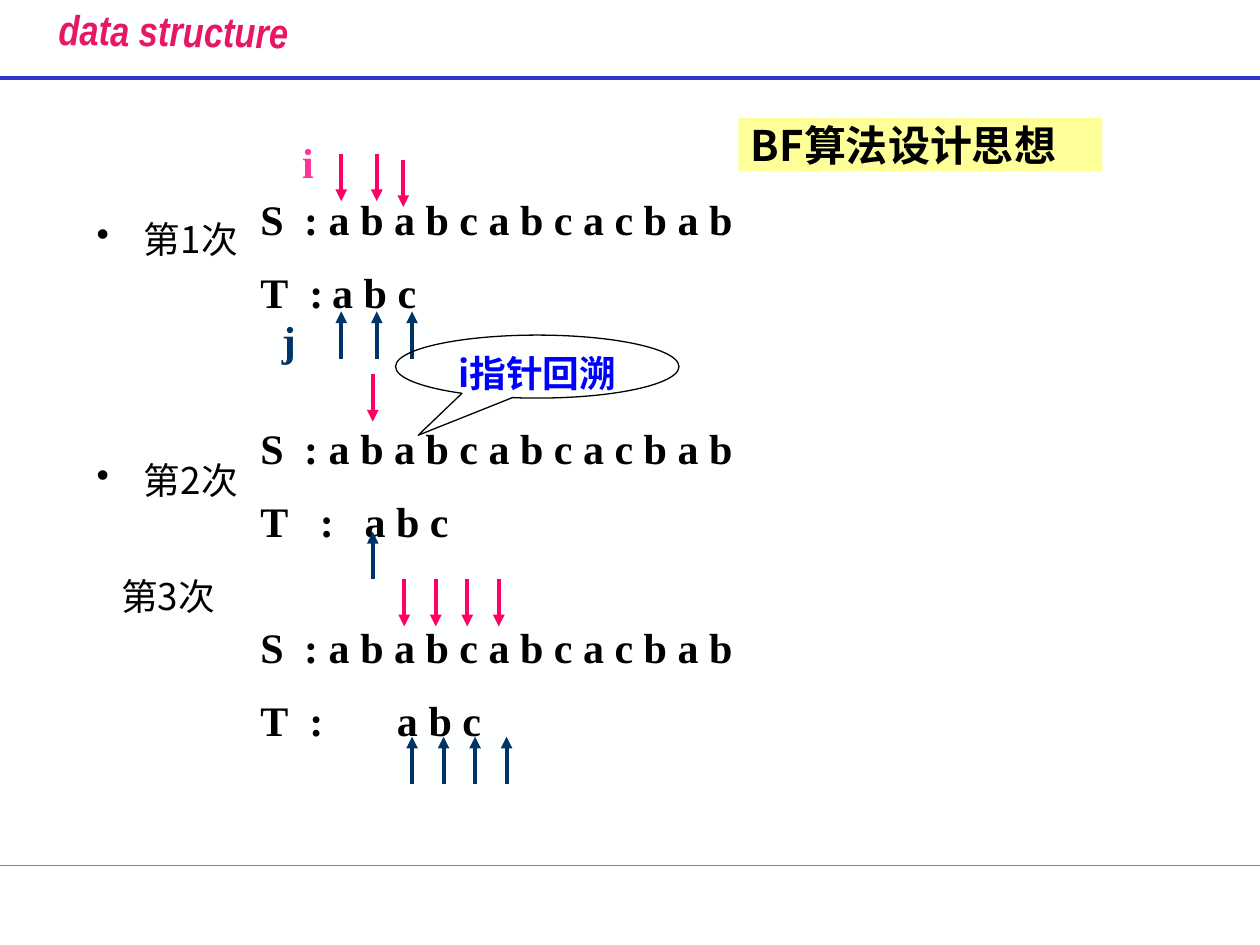
from lxml import etree
from pptx import Presentation
from pptx.dml.color import RGBColor
from pptx.enum import shapes, text
from pptx.oxml.ns import qn
from pptx.util import Pt

HUES = {
    "back": "FEFFFF", "rule": "3333CC", "foot": "00CC99", "title": "E81766",
    "ink": "000000", "down": "FF0066", "up": "003366", "i": "FF3399",
    "note": "0000FF", "head": "FFFF99",
}
SANS = "Noto Sans CJK SC"
SERIF = "Times New Roman"
ARROW = 27
STEP = 18
TEXT = "S\t:\ta b a b c a b c a c b a b"


def hue(name):
    return RGBColor.from_string(HUES[name])


def style(para, face, size, color, bold=True):
    font = para.font
    font.name, font.size, font.bold = face, Pt(size), bold
    font.color.rgb = hue(color)
    if face == SANS:
        prop = para._p.get_or_add_pPr().find(qn("a:defRPr"))
        etree.SubElement(prop, qn("a:ea"), typeface=face)


def add_box(slide, x, y, w, h, top=3.6):
    box = slide.shapes.add_textbox(Pt(x), Pt(y), Pt(w), Pt(h))
    frame = box.text_frame
    frame.word_wrap = True
    frame.margin_top = Pt(top)
    return box


def add_tabs(para, stops):
    prop = para._p.get_or_add_pPr()
    tabs = etree.Element(qn("a:tabLst"))
    for stop in stops:
        etree.SubElement(tabs, qn("a:tab"), pos=str(Pt(stop)), algn="l")
    prop.find(qn("a:defRPr")).addprevious(tabs)


def add_line(slide, start, end, color, width=2.25, head=False):
    line = slide.shapes.add_connector(
        shapes.MSO_CONNECTOR.STRAIGHT, *map(Pt, start + end))
    line.line.color.rgb = hue(color)
    line.line.width = Pt(width)
    if head:
        etree.SubElement(line.line._get_or_add_ln(), qn("a:tailEnd"), type="triangle")
    etree.SubElement(line._element.spPr, qn("a:effectLst"))


def add_arrows(slide, xs, y, color):
    shift = ARROW if color == "down" else -ARROW
    for x in xs:
        add_line(slide, (x, y - shift), (x, y), color, head=True)


def add_match(slide, y, width, colon, start):
    frame = add_box(slide, 141.8, y, width, 80, 6).text_frame
    rows = [(TEXT, (25, 39)), ("T\t:\ta b c", (colon, start))]
    for n, (row, stops) in enumerate(rows):
        para = frame.add_paragraph() if n else frame.paragraphs[0]
        para.text = row
        para.space_before = Pt(13 * n)
        style(para, SERIF, 24, "ink")
        add_tabs(para, stops)


def add_mark(slide, word, x, y, width, color):
    para = add_box(slide, x, y, width, 36, 6).text_frame.paragraphs[0]
    para.text = word
    style(para, SERIF, 24, color)


def add_steps(slide):
    frame = add_box(slide, 48.2, 87.8, 582, 382, 36).text_frame
    rows = [("第1次", 0, True), ("第2次", 112.5, True), ("第3次", 41, False)]
    for n, (row, gap, dot) in enumerate(rows):
        para = frame.add_paragraph() if n else frame.paragraphs[0]
        para.text = row
        para.space_before = Pt(gap)
        style(para, SANS, 21, "ink", False)
        prop = para._p.get_or_add_pPr()
        prop.set("marL", str(Pt(27 if dot else 14)))
        if dot:
            prop.set("indent", str(Pt(-27)))
            mark = etree.Element(qn("a:buChar"), char="•")
            prop.find(qn("a:defRPr")).addprevious(mark)


def add_shape(slide, kind, x, y, w, h, word, size, color):
    shape = slide.shapes.add_shape(kind, Pt(x), Pt(y), Pt(w), Pt(h))
    shape.shadow.inherit = False
    shape.fill.background()
    shape.line.fill.background()
    para = shape.text_frame.paragraphs[0]
    para.text = word
    style(para, SANS, size, color)
    return shape


def add_title(slide):
    box = add_box(slide, 16.6, -0.7, 165, 39)
    box.rotation = 0.8
    box.text_frame.word_wrap = False
    para = box.text_frame.paragraphs[0]
    para.text = "data structure"
    para.alignment = text.PP_ALIGN.CENTER
    style(para, "Arial Narrow", 24, "title")
    para.font.italic = True


def add_note(slide):
    note = add_shape(slide, shapes.MSO_SHAPE.OVAL_CALLOUT, 226, 191.5, 162, 36,
                     "i指针回溯", 21, "note")
    note.adjustments[0], note.adjustments[1] = -0.42, 1.09
    note.line.color.rgb = hue("ink")
    note.line.width = Pt(0.75)
    note.text_frame.vertical_anchor = text.MSO_ANCHOR.TOP
    note.text_frame.paragraphs[0].alignment = text.PP_ALIGN.CENTER


def add_head(slide):
    head = add_shape(slide, shapes.MSO_SHAPE.RECTANGLE, 422, 67.5, 208, 30.5,
                     "BF算法设计思想", 24, "ink")
    head.fill.solid()
    head.fill.fore_color.rgb = hue("head")
    head.text_frame.vertical_anchor = text.MSO_ANCHOR.MIDDLE
    head.text_frame.paragraphs[0].alignment = text.PP_ALIGN.LEFT


def main():
    deck = Presentation()
    deck.slide_width, deck.slide_height = Pt(720), Pt(540)
    slide = deck.slides.add_slide(deck.slide_layouts[6])
    slide.background.fill.solid()
    slide.background.fill.fore_color.rgb = hue("back")

    add_line(slide, (0, 494.6), (720, 494.6), "foot", 0.75)
    add_line(slide, (0, 44.6), (720, 44.6), "rule")
    add_title(slide)
    add_steps(slide)

    add_match(slide, 104.4, 432, 28, 41)
    add_match(slide, 235.4, 462, 34, 59.5)
    add_match(slide, 349.2, 318, 28, 78)
    add_mark(slide, "i", 165.6, 72, 50, "i")
    add_mark(slide, "j", 154, 173.5, 27.5, "up")

    add_arrows(slide, (195, 215.3), 115, "down")
    add_arrows(slide, (230.5,), 118.3, "down")
    add_arrows(slide, (195, 215.3, 235.5), 178, "up")
    add_arrows(slide, (213,), 241, "down")
    add_arrows(slide, (213,), 304, "up")
    add_arrows(slide, [231 + STEP * n for n in range(4)], 358, "down")
    add_arrows(slide, [235.5 + STEP * n for n in range(4)], 421, "up")

    add_note(slide)
    add_head(slide)
    deck.save("out.pptx")


if __name__ == "__main__":
    main()
